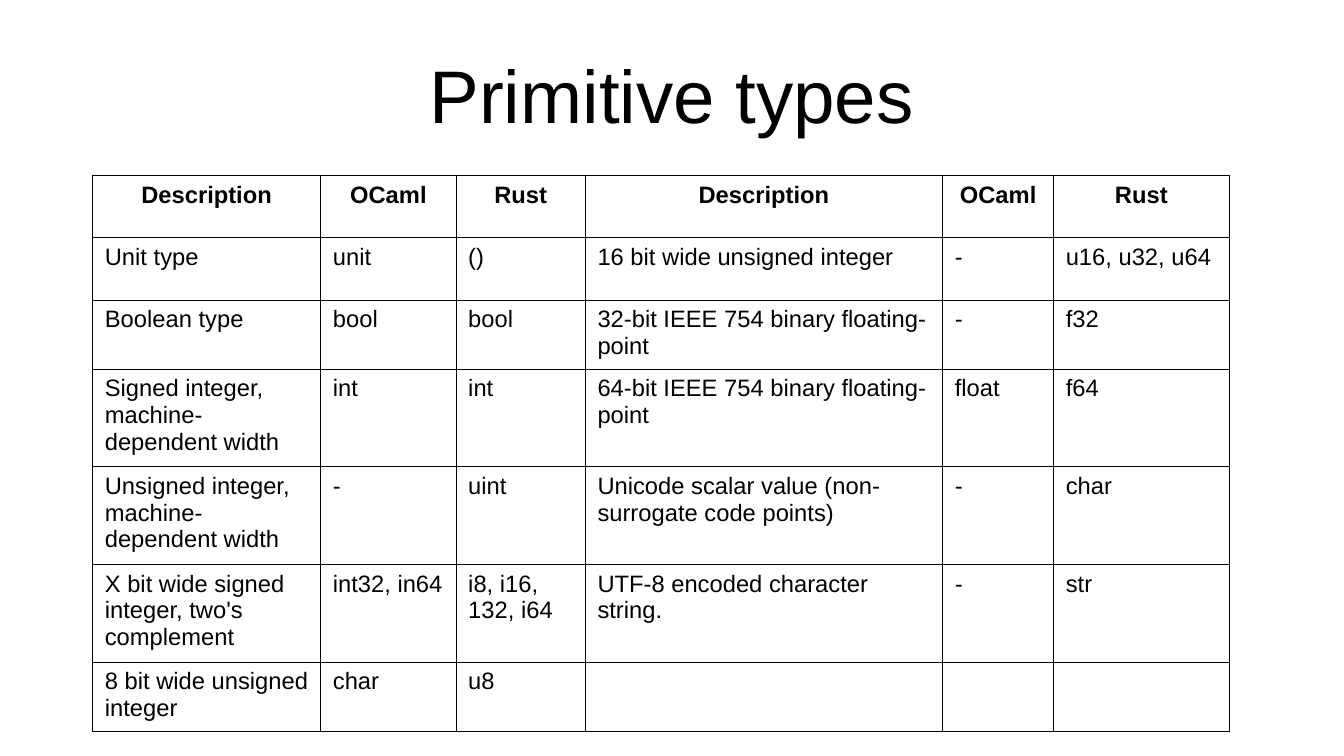
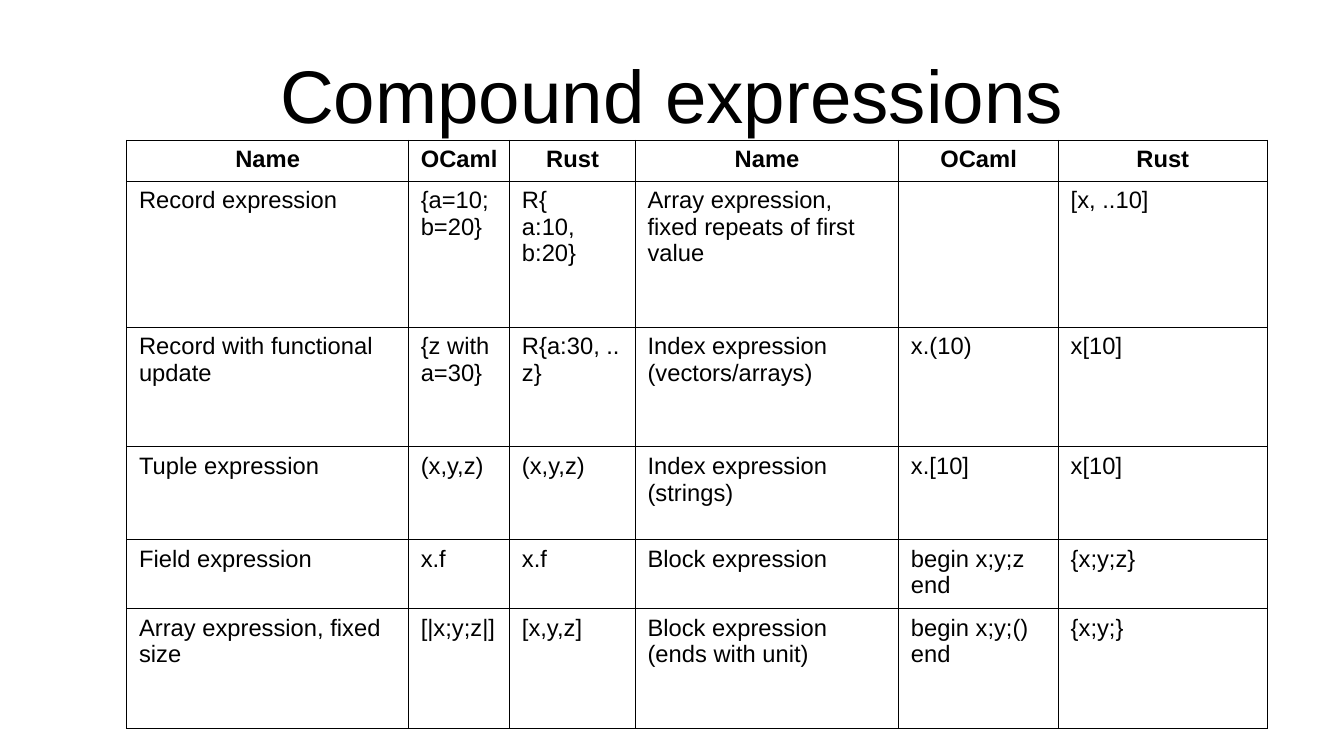
from lxml import etree
from pptx import Presentation
from pptx.dml.color import RGBColor
from pptx.enum import text
from pptx.oxml import ns
from pptx.util import Inches, Pt

BLACK = RGBColor(0, 0, 0)
WHITE = RGBColor(255, 255, 255)
FONT = "Arial"

types = [
    ("Description", "OCaml", "Rust", "Description", "OCaml", "Rust"),
    ("Unit type", "unit", "()", "16 bit wide unsigned integer", "-", "u16, u32, u64"),
    ("Boolean type", "bool", "bool", "32-bit IEEE 754 binary floating-point", "-", "f32"),
    ("Signed integer, machine-dependent width", "int", "int",
     "64-bit IEEE 754 binary floating-point", "float", "f64"),
    ("Unsigned integer, machine-dependent width", "-", "uint",
     "Unicode scalar value (non-surrogate code points)", "-", "char"),
    ("X bit wide signed integer, two's complement", "int32, in64", "i8, i16, 132, i64",
     "UTF-8 encoded character string.", "-", "str"),
    ("8 bit wide unsigned integer", "char", "u8", "", "", ""),
]
forms = [
    ("Name", "OCaml", "Rust", "Name", "OCaml", "Rust"),
    ("Record expression", "{a=10; b=20}", "R{\va:10, b:20}",
     "Array expression, fixed repeats of first value", "", "[x, ..10]"),
    ("Record with functional update", "{z with a=30}", "R{a:30, ..z}",
     "Index expression (vectors/arrays)", "x.(10)", "x[10]"),
    ("Tuple expression", "(x,y,z)", "(x,y,z)", "Index expression (strings)", "x.[10]", "x[10]"),
    ("Field expression", "x.f", "x.f", "Block expression", "begin x;y;z end", "{x;y;z}"),
    ("Array expression, fixed size", "[|x;y;z|]", "[x,y,z]",
     "Block expression (ends with unit)", "begin x;y;() end", "{x;y;}"),
]
pages = [
    ("Primitive types", types, 0.76, 1.44,
     [1.87, 1.11, 1.06, 2.93, 0.91, 1.44], [0.51] * 3 + [0.71] * 3 + [0.51]),
    ("Compound expressions", forms, 1.04, 1.15,
     [2.31, 0.83, 1.03, 2.16, 1.31, 1.71], [0.32, 1.2, 0.98, 0.76, 0.54, 0.98]),
]


def style(para, size, bold=False, center=False):
    para.font.name = FONT
    para.font.size = Pt(size)
    para.font.bold = bold
    para.font.color.rgb = BLACK
    para.alignment = text.PP_ALIGN.CENTER if center else text.PP_ALIGN.LEFT


def border(cell):
    props = cell._tc.get_or_add_tcPr()
    for side in ("lnL", "lnR", "lnT", "lnB"):
        line = etree.SubElement(props, ns.qn(f"a:{side}"), w=str(Pt(0.57)))
        fill = etree.SubElement(line, ns.qn("a:solidFill"))
        etree.SubElement(fill, ns.qn("a:srgbClr"), val=str(BLACK))


deck = Presentation()
deck.slide_width = Inches(11.02)
deck.slide_height = Inches(6.2)
fill = deck.slide_master.background.fill
fill.solid()
fill.fore_color.rgb = WHITE

for title, rows, left, top, widths, heights in pages:
    slide = deck.slides.add_slide(deck.slide_layouts[6])

    frame = slide.shapes.add_textbox(Inches(0.55), Inches(0.25), Inches(9.92), Inches(1.04)).text_frame
    frame.word_wrap = True
    frame.vertical_anchor = text.MSO_ANCHOR.MIDDLE
    frame.margin_left = frame.margin_right = frame.margin_top = frame.margin_bottom = 0
    frame.text = title
    style(frame.paragraphs[0], 44, center=True)

    table = slide.shapes.add_table(
        len(rows), len(widths), Inches(left), Inches(top),
        Inches(sum(widths)), Inches(sum(heights))).table
    table.first_row = table.horz_banding = False
    for col, width in zip(table.columns, widths):
        col.width = Inches(width)
    for i, (row, height) in enumerate(zip(table.rows, heights)):
        row.height = Inches(height)
        for cell, words in zip(row.cells, rows[i]):
            cell.margin_left = cell.margin_right = Inches(0.1)
            cell.margin_top = cell.margin_bottom = Inches(0.05)
            border(cell)
            cell.fill.background()
            cell.text_frame.text = words
            style(cell.text_frame.paragraphs[0], 14, bold=i == 0, center=i == 0)

deck.save("out.pptx")
